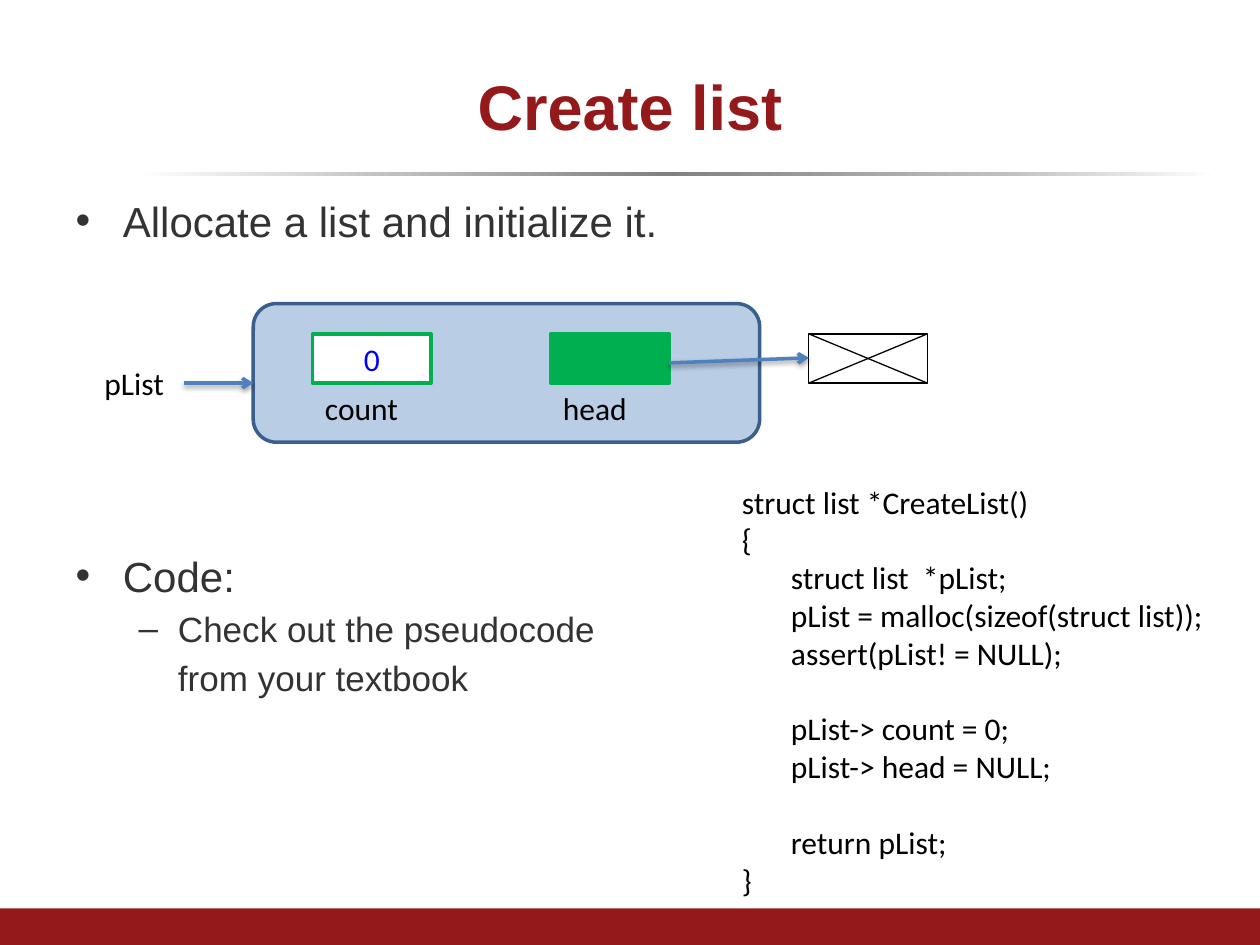
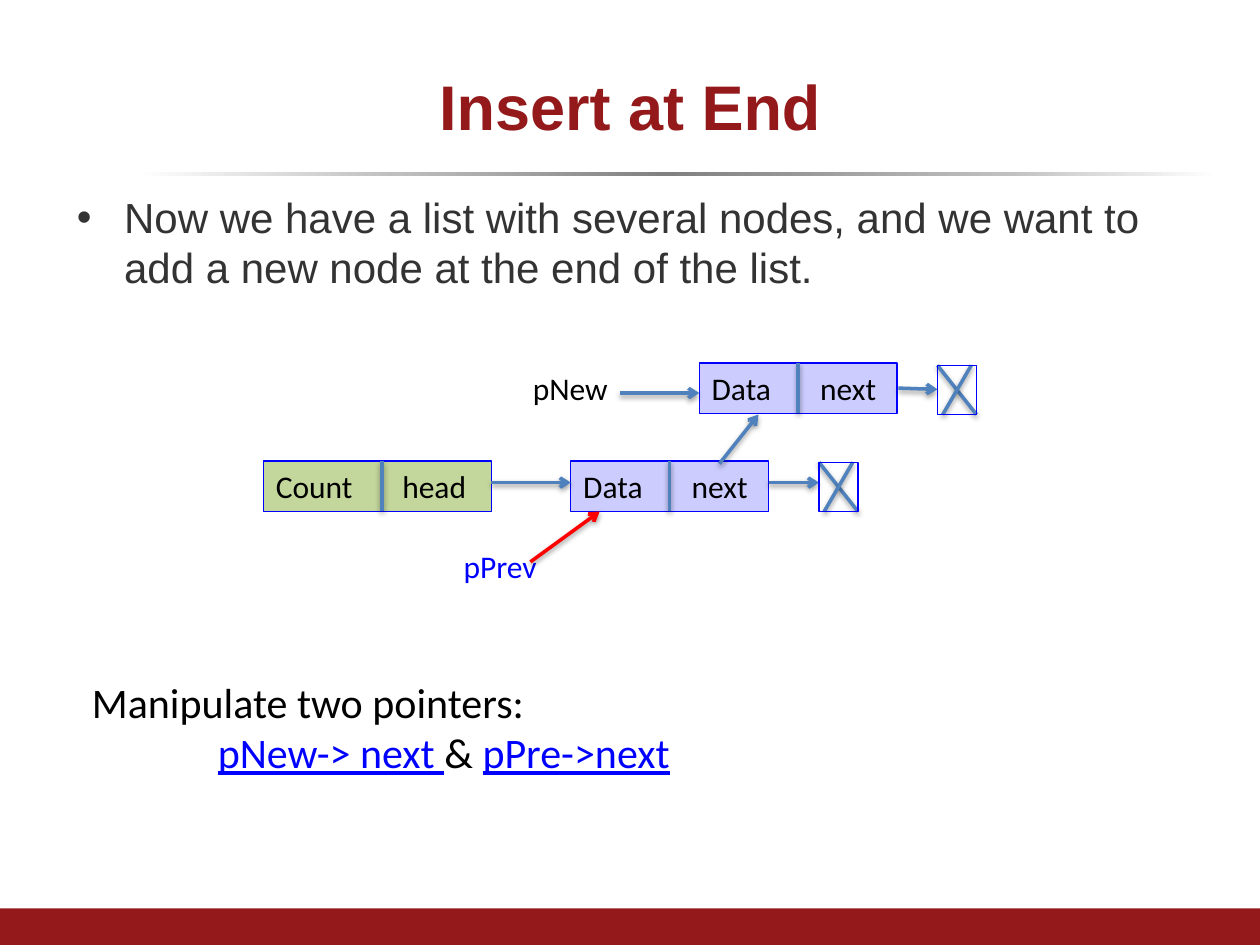
from dataclasses import dataclass

import lxml.etree
import pptx
import pptx.dml.color
import pptx.enum.dml
import pptx.enum.shapes
import pptx.enum.text
import pptx.oxml.ns
import pptx.util

Pt = pptx.util.Pt
qn = pptx.oxml.ns.qn
SHAPE = pptx.enum.shapes.MSO_SHAPE
ALIGN = pptx.enum.text.PP_ALIGN
ANCHOR = pptx.enum.text.MSO_ANCHOR


@dataclass(frozen=True)
class Theme:
    heading_font: str = "Arial"
    label_font: str = "Calibri"
    title_size: float = 36
    body_size: float = 24
    sub_size: float = 20
    label_size: float = 18
    line_width: float = 2
    thin_width: float = 0.75
    maroon: str = "93191B"
    gray: str = "333333"
    black: str = "000000"
    white: str = "FFFFFF"
    blue: str = "0000FF"
    red: str = "FF0000"
    arrow: str = "4F81BD"
    green: str = "00B050"
    struct_fill: str = "B9CDE5"
    struct_line: str = "3A5F8C"
    head_fill: str = "C3D69B"
    node_fill: str = "CCCCFF"


THEME = Theme()

RULE_STOPS = [(0, "FFFFFF"), (24, "BFBFBF"), (49, "808080"), (80, "BFBFBF"), (100, "FFFFFF")]

CREATE_TITLE = "Create list"
CREATE_BODY = [
    dict(text="Allocate a list and initialize it."),
    dict(text="Code:", before=174),
    dict(text="Check out the pseudocode", level=1),
    dict(text="from your textbook", level=1, bullet=False),
]
CREATE_CODE = [
    dict(text="struct list *CreateList()"),
    dict(text="{"),
    dict(text="struct list  *pList;", indent=28),
    dict(text="pList = malloc(sizeof(struct list));", indent=28),
    dict(text="assert(pList! = NULL);", indent=28),
    dict(text="pList-> count = 0;", indent=28, before=21.6),
    dict(text="pList-> head = NULL;", indent=28),
    dict(text="return pList;", indent=28, before=21.6),
    dict(text="}"),
]
STRUCT_FIELDS = [
    dict(name="count", value="0", fill=THEME.white, left=178.6),
    dict(name="head", value="", fill=THEME.green, left=314.6),
]

INSERT_TITLE = "Insert at End"
INSERT_BODY = [
    dict(text="Now we have a list with several nodes, and we want to "
              "add a new node at the end of the list."),
]
RECORDS = [
    dict(fields="Data\tnext", at=(326.2, 263.5, 113), fill=THEME.node_fill, divider=56.5, tab=62),
    dict(fields="Data\tnext", at=(399.6, 207.4, 113), fill=THEME.node_fill, divider=56.5, tab=62),
    dict(fields="Count\thead", at=(150.5, 263.5, 130.3), fill=THEME.head_fill, divider=67.7, tab=72.3),
]
POINTER_NAMES = [("pNew", 297.4, 207.4, THEME.black), ("pPrev", 257.8, 308.9, THEME.blue)]
POINTERS = [
    ((280.8, 275.8), (326.2, 275.8), THEME.arrow),
    ((354.2, 224.6), (399.6, 224.6), THEME.arrow),
    ((303.1, 321.1), (342.7, 292.3), THEME.red),
    ((439.2, 275.8), (468, 275.8), THEME.arrow),
    ((513.4, 221.8), (535.7, 222.5), THEME.arrow),
    ((411.1, 265), (433.4, 236.9), THEME.arrow),
]
NULL_NODES = [(468, 264.2), (535.7, 208.8)]
POINTER_NOTE = [
    dict(text="Manipulate two pointers:"),
    dict(indent=72, runs=[
        ("pNew-> next ", THEME.blue, True),
        ("& ", THEME.black, False),
        ("pPre->next", THEME.blue, True),
    ]),
]


def rgb(code):
    return pptx.dml.color.RGBColor.from_string(code)


def add_xml(parent, tag, **attributes):
    return lxml.etree.SubElement(parent, qn(tag), attributes)


def write_run(para, text, font, size, color, bold=None, underline=None):
    span = para.add_run()
    span.text = text
    span.font.name, span.font.size = font, Pt(size)
    span.font.color.rgb = rgb(color)
    span.font.bold, span.font.underline = bold, underline


def write_lines(frame, lines, size, color=THEME.black):
    for number, line in enumerate(lines):
        para = frame.add_paragraph() if number else frame.paragraphs[0]
        properties = para._p.get_or_add_pPr()
        if "indent" in line:
            properties.set("marL", str(int(Pt(line["indent"]))))
        if "before" in line:
            para.space_before = Pt(line["before"])
        if "tab" in line:
            tabs = add_xml(properties, "a:tabLst")
            add_xml(tabs, "a:tab", pos=str(int(Pt(line["tab"]))), algn="l")
        for text, run_color, underline in line.get("runs") or [(line["text"], color, None)]:
            write_run(para, text, THEME.label_font, size, run_color, underline=underline)


def add_text(page, left, top, width, height, lines, size=THEME.label_size, color=THEME.black):
    box = page.shapes.add_textbox(Pt(left), Pt(top), Pt(width), Pt(height))
    box.text_frame.word_wrap = True
    write_lines(box.text_frame, lines, size, color)


def add_box(page, left, top, width, height, fill=None, line=None, line_width=THEME.line_width, kind=SHAPE.RECTANGLE):
    box = page.shapes.add_shape(kind, Pt(left), Pt(top), Pt(width), Pt(height))
    box.shadow.inherit = False
    if fill:
        box.fill.solid()
        box.fill.fore_color.rgb = rgb(fill)
    else:
        box.fill.background()
    if line:
        box.line.color.rgb, box.line.width = rgb(line), Pt(line_width)
    else:
        box.line.fill.background()
    return box


def add_line(page, start, end, color=THEME.arrow, width=THEME.line_width, arrow=False, shadow=True):
    line = page.shapes.add_connector(
        pptx.enum.shapes.MSO_CONNECTOR.STRAIGHT, *(Pt(value) for value in (*start, *end)))
    line.line.color.rgb, line.line.width = rgb(color), Pt(width)
    if arrow:
        add_xml(line.line._get_or_add_ln(), "a:tailEnd", type="arrow")
    effects = add_xml(line._element.spPr, "a:effectLst")
    if shadow:
        outer = add_xml(effects, "a:outerShdw", blurRad=str(int(Pt(3.1))), dist=str(int(Pt(1.6))),
                        dir="5400000", rotWithShape="0")
        shade = add_xml(outer, "a:srgbClr", val=THEME.black)
        add_xml(shade, "a:alpha", val="38000")


def add_master_bands(deck, page):
    rule = add_box(page, 77.8, 98.6, 617.8, 2.2)
    rule.fill.gradient()
    rule.fill.gradient_angle = 0
    stops = rule._element.spPr.find(qn("a:gradFill")).find(qn("a:gsLst"))
    for stop in list(stops):
        stops.remove(stop)
    for position, color in RULE_STOPS:
        add_xml(add_xml(stops, "a:gs", pos=str(position * 1000)), "a:srgbClr", val=color)
    footer = add_box(page, 0, 519.1, 720, 20.9, THEME.maroon)
    for band in (rule, footer):
        deck.slide_master.shapes.element.append(band.element)


def place(shape, left, top, width, height):
    shape.left, shape.top, shape.width, shape.height = Pt(left), Pt(top), Pt(width), Pt(height)


def add_page(deck, title, body_lines, body_left, body_top):
    page = deck.slides.add_slide(deck.slide_layouts[1])
    heading, body = page.placeholders
    place(heading, 36, 21.6, 648, 77)
    place(body, body_left, body_top, 648, 408.2)
    for shape in (heading, body):
        shape.text_frame.auto_size = pptx.enum.text.MSO_AUTO_SIZE.NONE
    write_run(heading.text_frame.paragraphs[0], title, THEME.heading_font, THEME.title_size, THEME.maroon, bold=True)
    for number, line in enumerate(body_lines):
        para = body.text_frame.add_paragraph() if number else body.text_frame.paragraphs[0]
        para.level = line.get("level", 0)
        if "before" in line:
            para.space_before = Pt(line["before"])
        if not line.get("bullet", True):
            properties = para._p.get_or_add_pPr()
            properties.set("indent", "0")
            add_xml(properties, "a:buNone")
        size = THEME.sub_size if para.level else THEME.body_size
        write_run(para, line["text"], THEME.heading_font, size, THEME.gray)
    return page


def draw_create_list(page):
    field_top, field_width, field_height = 190.8, 67.7, 28.1
    field_bottom = field_top + field_height
    add_box(page, 144.7, 173.5, 289.4, 79.2, THEME.struct_fill, THEME.struct_line, kind=SHAPE.ROUNDED_RECTANGLE)
    for field in STRUCT_FIELDS:
        box = add_box(page, field["left"], field_top, field_width, field_height, field["fill"], THEME.green)
        if field["value"]:
            para = box.text_frame.paragraphs[0]
            para.alignment = ALIGN.CENTER
            write_run(para, field["value"], THEME.label_font, THEME.label_size, THEME.blue)
        add_text(page, field["left"], field_bottom, 73.4, 28.8, [dict(text=field["name"])])

    null_left, null_right = 462.2, 462.2 + field_width
    for start, end in ((field_top, field_bottom), (field_bottom, field_top)):
        add_line(page, (null_left, start), (null_right, end), THEME.black, THEME.thin_width, shadow=False)
    add_box(page, null_left, field_top, field_width, field_height, line=THEME.black, line_width=THEME.thin_width)
    add_line(page, (382.3, 207.4), (null_left, 204.5), arrow=True)
    add_text(page, 52.6, 204.5, 52.6, 28.8, [dict(text="pList")])
    add_line(page, (105.1, 218.9), (144.7, 218.9), arrow=True)
    add_text(page, 416.9, 272.2, 300.2, 247, CREATE_CODE)


def draw_insert_at_end(page):
    for record in RECORDS:
        left, top, width = record["at"]
        box = add_box(page, left, top, width, 28.8, record["fill"], THEME.blue, THEME.thin_width)
        box.text_frame.vertical_anchor = ANCHOR.TOP
        write_lines(box.text_frame, [dict(text=record["fields"], tab=record["tab"])], THEME.label_size)
        box.text_frame.paragraphs[0].alignment = ALIGN.LEFT
        middle = left + record["divider"]
        add_line(page, (middle, top), (middle, top + 28.4))
    for name, left, top, color in POINTER_NAMES:
        add_text(page, left, top, 73.4, 28.8, [dict(text=name)], color=color)
    for start, end, color in POINTERS:
        add_line(page, start, end, color, arrow=True)
    for left, top in NULL_NODES:
        width, height = 22.3, 28.1
        add_line(page, (left, top), (left + width, top + height))
        add_line(page, (left + width - 3, top), (left + 3, top + height))
        add_box(page, left, top, width, height, line=THEME.blue, line_width=THEME.thin_width)
    add_text(page, 45.4, 383, 447.8, 65.5, POINTER_NOTE, THEME.body_size)


def main():
    deck = pptx.Presentation()
    deck.slide_width, deck.slide_height = Pt(720), Pt(540)
    create_page = add_page(deck, CREATE_TITLE, CREATE_BODY, 36, 108)
    add_master_bands(deck, create_page)
    draw_create_list(create_page)
    insert_page = add_page(deck, INSERT_TITLE, INSERT_BODY, 36.7, 105.8)
    draw_insert_at_end(insert_page)
    deck.save("out.pptx")


if __name__ == "__main__":
    main()
